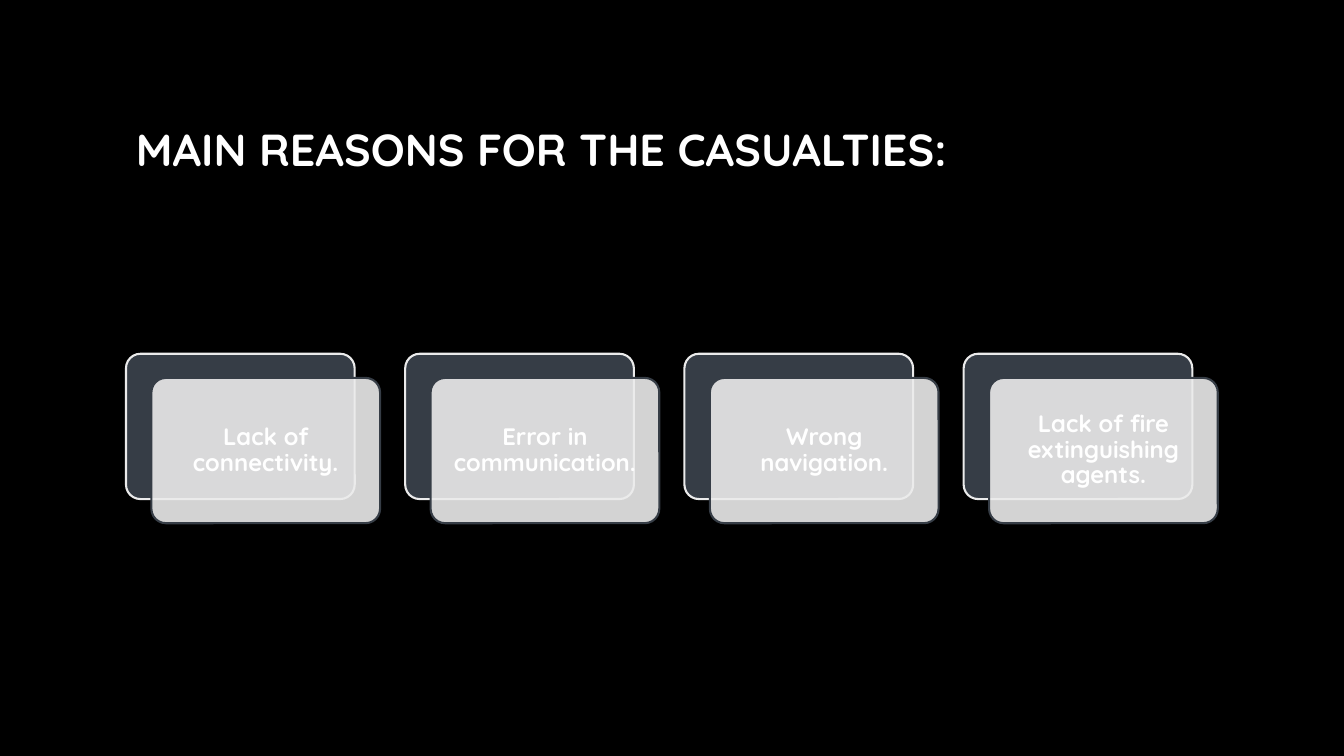
from lxml.etree import SubElement
from pptx import Presentation
from pptx.dml.color import RGBColor
from pptx.enum.shapes import MSO_SHAPE
from pptx.enum.text import MSO_ANCHOR, PP_ALIGN
from pptx.oxml.ns import qn
from pptx.util import Pt

TITLE = "MAIN REASONS FOR THE CASUALTIES:"
REASONS = [
    "Lack of connectivity.",
    "Error in communication.",
    "Wrong navigation.",
    "Lack of fire extinguishing agents.",
]
COLORS = {"back": "000000", "dark": "363D46", "light": "EBEBEB", "text": "FFFFFF"}
FONT = {"name": "Quicksand", "bold": True}

LEFT, TOP, STEP = 90, 252.7, 199.45
WIDTH, HEIGHT = 163.4, 103.8
SHIFT_X, SHIFT_Y = 18.15, 17.25
INSET = 3.2


def color(key):
    return RGBColor.from_string(COLORS[key])


def add_card(slide, x, y, fill, line, alpha=None):
    """Add a rounded card; alpha is its opacity in percent."""
    card = slide.shapes.add_shape(
        MSO_SHAPE.ROUNDED_RECTANGLE, Pt(x), Pt(y), Pt(WIDTH), Pt(HEIGHT))
    card.adjustments[0] = 0.1
    card.shadow.inherit = False
    card.fill.solid()
    card.fill.fore_color.rgb = color(fill)
    card.line.color.rgb = color(line)
    card.line.width = Pt(1.5)
    if alpha:
        tint = card.fill._xPr.find(qn("a:solidFill"))[0]
        SubElement(tint, qn("a:alpha"), val=str(alpha * 1000))


def add_text(slide, box, text, size, align, space, pad_x, pad_y):
    frame = slide.shapes.add_textbox(*map(Pt, box)).text_frame
    form = {
        "word_wrap": True, "vertical_anchor": MSO_ANCHOR.MIDDLE,
        "margin_left": Pt(pad_x), "margin_right": Pt(pad_x),
        "margin_top": Pt(pad_y), "margin_bottom": Pt(pad_y),
    }
    for key, value in form.items():
        setattr(frame, key, value)
    para = frame.paragraphs[0]
    para.alignment = align
    para.line_spacing = space
    run = para.add_run()
    run.text = text
    for key, value in {**FONT, "size": Pt(size)}.items():
        setattr(run.font, key, value)
    run.font.color.rgb = color("text")


def main():
    deck = Presentation()
    deck.slide_width, deck.slide_height = Pt(960), Pt(540)
    slide = deck.slides.add_slide(deck.slide_layouts[6])
    slide.background.fill.solid()
    slide.background.fill.fore_color.rgb = color("back")

    add_text(slide, (90, 48, 780, 116), TITLE, 32, PP_ALIGN.LEFT, 1.0, 7.2, 3.6)
    for i, reason in enumerate(REASONS):
        x = LEFT + i * STEP
        front_x, front_y = x + SHIFT_X, TOP + SHIFT_Y
        add_card(slide, x, TOP, "dark", "light")
        add_card(slide, front_x, front_y, "light", "dark", alpha=90)
        box = (front_x + INSET, front_y + INSET,
               WIDTH - 2 * INSET, HEIGHT - 2 * INSET)
        add_text(slide, box, reason, 17, PP_ALIGN.CENTER, 0.9, 5, 5)

    deck.save("out.pptx")


if __name__ == "__main__":
    main()
